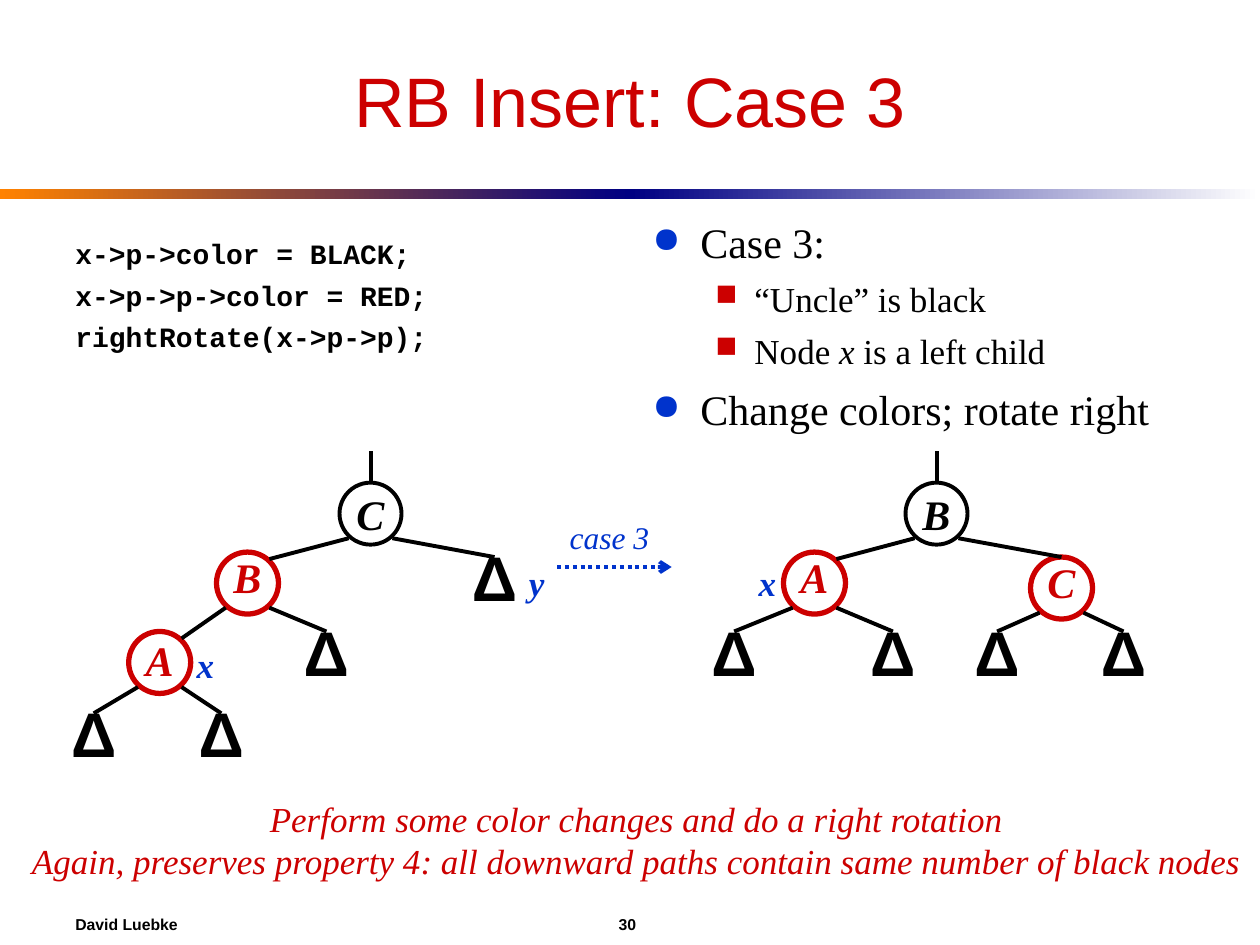
import pptx
import pptx.dml.color
import pptx.enum.dml
import pptx.enum.shapes
import pptx.enum.text
import pptx.oxml.ns
import pptx.util
from lxml import etree

Cm = pptx.util.Cm
Pt = pptx.util.Pt
ALIGN = pptx.enum.text.PP_ALIGN
ANCHOR = pptx.enum.text.MSO_ANCHOR
SHAPE = pptx.enum.shapes.MSO_SHAPE

BLACK, WHITE, RED, BLUE = "000000", "FFFFFF", "CC0000", "0033CC"
SANS, SERIF, MONO = "Arial", "Times New Roman", "Courier New"
LEAF = "Δ"

TITLE = "RB Insert: Case 3"
CODE = ["x->p->color = BLACK;", "x->p->p->color = RED;", "rightRotate(x->p->p);"]
POINTS = [
    (0, "Case 3:"),
    (1, "“Uncle” is black"),
    (1, "Node *x* is a left child"),
    (0, "Change colors; rotate right"),
]
LEVELS = [
    dict(size=24, before=6.9, indent=(0.97, -0.97), bullet=("●", BLUE)),
    dict(size=20, before=5.8, indent=(2.06, -0.79), bullet=("■", RED)),
]
SUMMARY = [
    "Perform some color changes and do a right rotation",
    "Again, preserves property 4: all downward paths contain same number of black nodes",
]
FOOTER = "David Luebke\t30"
BARS = [("FF8200", "000082"), ("000082", WHITE)]

# name, colour, centre x, top, line spacing, children
TREES = [
    ("C", BLACK, 7.47, 9.73, 1, [
        ("B", RED, 4.99, 11.13, 0.7, [
            ("A", RED, 3.22, 12.73, 0.9, [
                (LEAF, BLACK, 1.89, 14.38, 0.6, []),
                (LEAF, BLACK, 4.46, 14.38, 0.6, []),
            ]),
            (LEAF, BLACK, 6.58, 12.73, 0.6, []),
        ]),
        (LEAF, BLACK, 9.97, 11.23, 0.6, []),
    ]),
    ("B", BLACK, 18.88, 9.73, 1, [
        ("A", RED, 16.42, 11.13, 0.7, [
            (LEAF, BLACK, 14.8, 12.73, 0.6, []),
            (LEAF, BLACK, 18, 12.73, 0.6, []),
        ]),
        ("C", RED, 21.4, 11.23, 0.7, [
            (LEAF, BLACK, 20.1, 12.73, 0.6, []),
            (LEAF, BLACK, 22.65, 12.73, 0.6, []),
        ]),
    ]),
]
POINTERS = [("x", 3.71, 12.83), ("y", 10.39, 11.18), ("x", 15.04, 11.18)]
NODE, STEM = 1.25, 0.63
SIDE, EXIT, ENTRY = 0.44, 1.12, 0.14

deck = pptx.Presentation()
deck.slide_width, deck.slide_height = Cm(25.4), Cm(19.05)
slide = deck.slides.add_slide(deck.slide_layouts[6])


def rgb(value):
    return pptx.dml.color.RGBColor.from_string(value)


def add_xml(parent, tag, **attributes):
    return etree.SubElement(parent, pptx.oxml.ns.qn(tag), attributes)


def write(frame, lines, font=SERIF, size=20, color=BLACK, bold=False, italic=False,
          align=ALIGN.LEFT, spacing=None, before=0, indent=None, bullet=None, tab=None):
    for line in lines:
        paragraph = frame.paragraphs[0]
        if paragraph.runs:
            paragraph = frame.add_paragraph()
        paragraph.alignment = align
        paragraph.space_before = Pt(before)
        if spacing:
            paragraph.line_spacing = spacing
        properties = paragraph._p.get_or_add_pPr()
        if indent:
            properties.set("marL", str(Cm(indent[0])))
            properties.set("indent", str(Cm(indent[1])))
        if bullet:
            add_xml(add_xml(properties, "a:buClr"), "a:srgbClr", val=bullet[1])
            add_xml(properties, "a:buSzPct", val="85000")
            add_xml(properties, "a:buChar", char=bullet[0])
        if tab:
            add_xml(add_xml(properties, "a:tabLst"), "a:tab", pos=str(Cm(tab)), algn="l")
        for index, part in enumerate(line.split("*")):
            run = paragraph.add_run()
            run.text = part
            run.font.name, run.font.size = font, Pt(size)
            run.font.bold, run.font.italic = bold, italic or index % 2 == 1
            run.font.color.rgb = rgb(color)


def text_box(left, top, width, height, lines, wrap=True, anchor=ANCHOR.MIDDLE, **style):
    frame = slide.shapes.add_textbox(Cm(left), Cm(top), Cm(width), Cm(height)).text_frame
    frame.word_wrap, frame.vertical_anchor = wrap, anchor
    write(frame, lines, **style)
    return frame


def connect(start, end, color=BLACK):
    line = slide.shapes.add_connector(
        pptx.enum.shapes.MSO_CONNECTOR.STRAIGHT, *map(Cm, start + end))
    line.line.color.rgb, line.line.width = rgb(color), Pt(2.25)
    add_xml(line._element.spPr, "a:effectLst")
    return line


def draw_node(name, color, center, top, spacing):
    node = slide.shapes.add_shape(
        SHAPE.OVAL, Cm(center - NODE / 2), Cm(top), Cm(NODE), Cm(NODE))
    node.shadow.inherit = False
    node.fill.solid()
    node.fill.fore_color.rgb = rgb(WHITE)
    leaf = name == LEAF
    if leaf:
        node.line.fill.background()
    else:
        node.line.color.rgb = rgb(color)
        node.line.width = Pt(3 if color == RED else 2.25)
    node.text_frame.word_wrap = False
    node.text_frame.vertical_anchor = ANCHOR.MIDDLE
    write(node.text_frame, [name], font=SANS if leaf else SERIF, size=36 if leaf else 24,
          color=color, bold=True, italic=not leaf, align=ALIGN.CENTER, spacing=spacing)
    return node


def draw_tree(name, color, center, top, spacing, children):
    node = draw_node(name, color, center, top, spacing)
    for child in children:
        child_name, _, child_center, child_top, _, _ = child
        child_node = draw_tree(*child)
        side = SIDE if child_center > center else -SIDE
        start = (center + side, top + EXIT)
        if side < 0 and child_name != LEAF:
            connect(start, (child_center + SIDE, child_top + ENTRY))
        else:
            connect(start, (child_center, child_top)).end_connect(child_node, 0)
    return node


bar_width = 25.4 / len(BARS)
for index, colors in enumerate(BARS):
    bar = slide.shapes.add_shape(
        SHAPE.RECTANGLE, Cm(index * bar_width), Cm(3.81), Cm(bar_width), Cm(0.2))
    bar.shadow.inherit = False
    bar.line.fill.background()
    bar.fill.gradient()
    bar.fill.gradient_angle = 0
    for stop, color in zip(bar.fill.gradient_stops, colors):
        stop.color.rgb = rgb(color)

text_box(1.27, 0.64, 22.86, 2.74, [TITLE], font=SANS, size=40, color=RED, align=ALIGN.CENTER)
text_box(1.27, 4.65, 11.23, 4.65, CODE, anchor=ANCHOR.TOP, font=MONO, size=16, bold=True,
         before=4.5, indent=(0.97, -0.97))
points_frame = text_box(12.9, 4.24, 11.23, 4.88, [], anchor=ANCHOR.TOP)
for level, point in POINTS:
    write(points_frame, [point], **LEVELS[level])

for tree in TREES:
    root = draw_tree(*tree)
    root_center, root_top = tree[2:4]
    connect((root_center, root_top), (root_center, root_top - STEM)).begin_connect(root, 0)
for pointer, left, top in POINTERS:
    text_box(left, top, 0.86, 1.12, [pointer], wrap=False, color=BLUE, bold=True,
             italic=True, align=ALIGN.CENTER)

step = connect((11.23, 11.43), (13.54, 11.43), BLUE)
step.line.dash_style = pptx.enum.dml.MSO_LINE.ROUND_DOT
add_xml(step.line._get_or_add_ln(), "a:tailEnd", type="arrow")
text_box(11.23, 10.31, 2.11, 1.02, ["case 3"], wrap=False, size=18, color=BLUE,
         italic=True, align=ALIGN.CENTER)

text_box(0.36, 15.95, 24.94, 1.96, SUMMARY, wrap=False, color=RED, italic=True,
         align=ALIGN.CENTER)
text_box(1.27, 18.21, 22.86, 0.84, [FOOTER], font=SANS, size=9, bold=True, tab=10.95)

deck.save("out.pptx")
